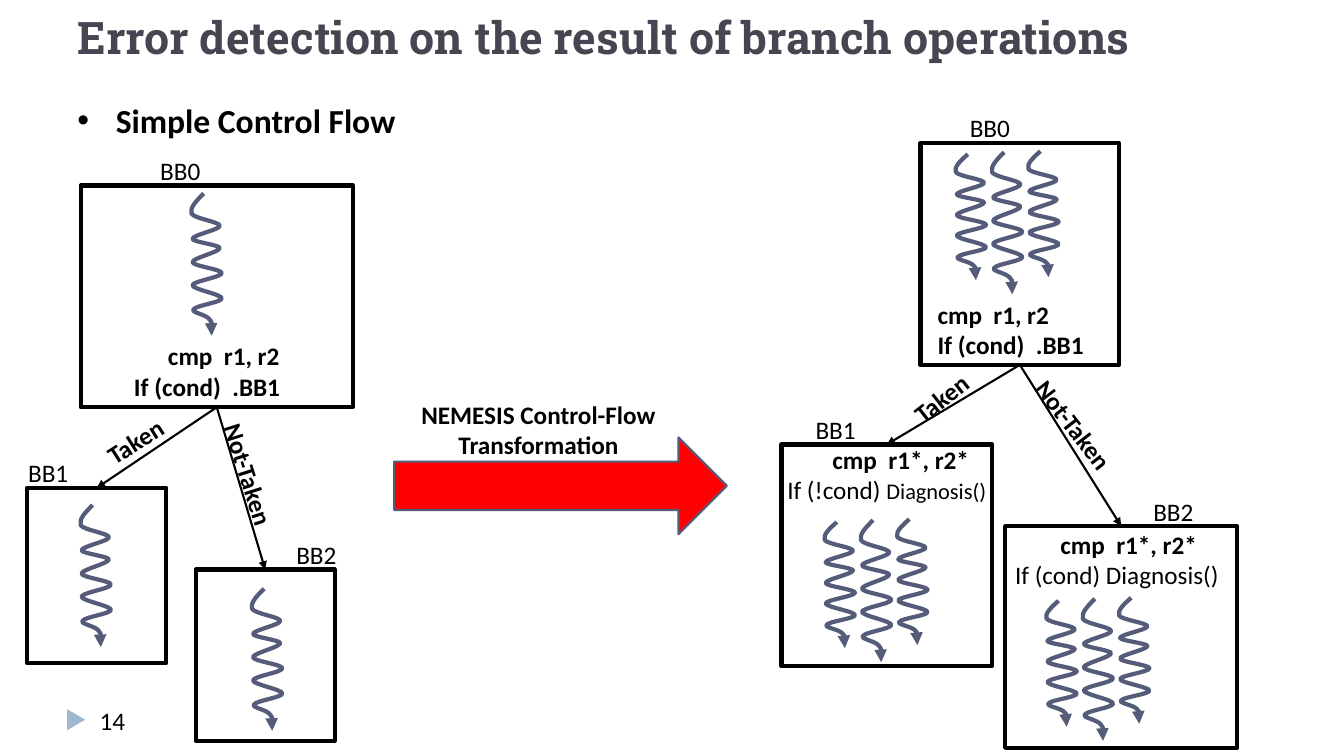
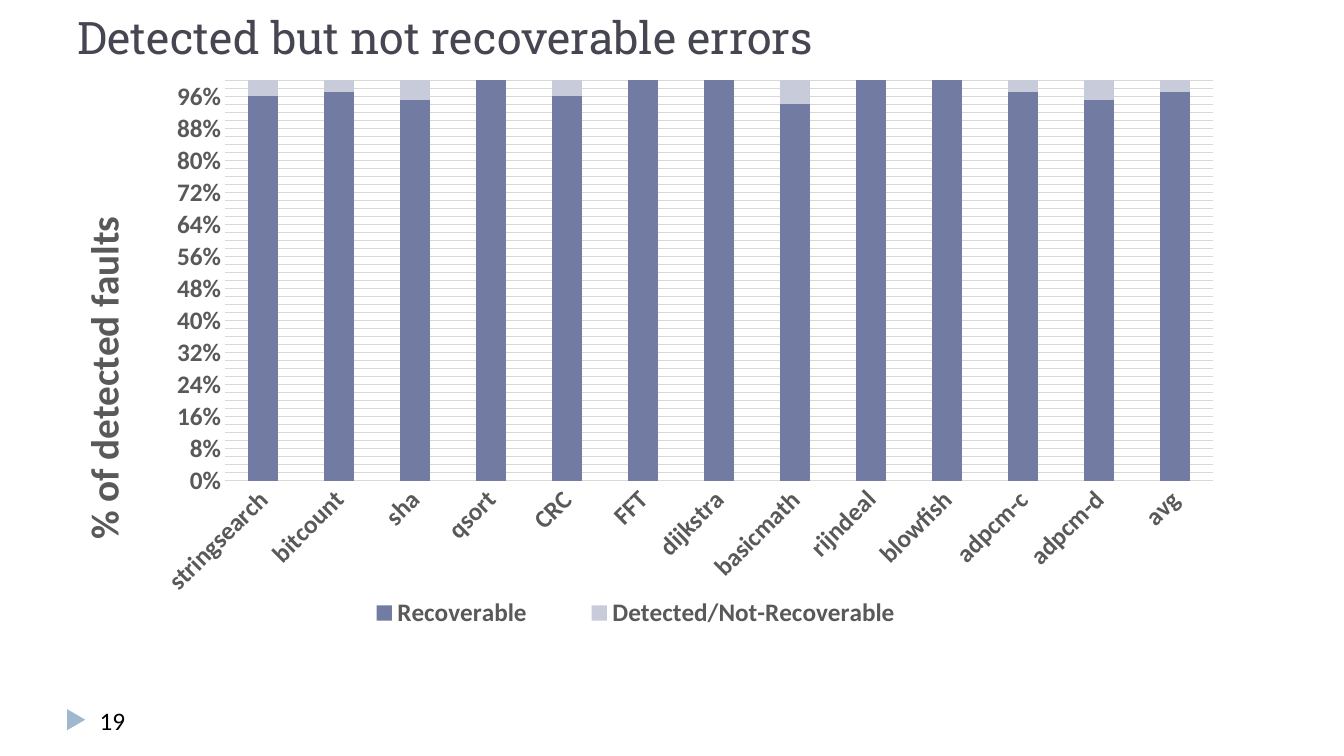
from lxml import etree
from pptx import Presentation
from pptx.chart.data import CategoryChartData
from pptx.dml.color import RGBColor
from pptx.enum.chart import XL_CHART_TYPE, XL_LEGEND_POSITION, XL_TICK_MARK
from pptx.enum.shapes import MSO_CONNECTOR, MSO_SHAPE
from pptx.enum.text import MSO_ANCHOR, PP_ALIGN
from pptx.oxml.ns import qn
from pptx.util import Emu, Pt

STACKED = XL_CHART_TYPE.COLUMN_STACKED_100
LEGEND_BOTTOM = XL_LEGEND_POSITION.BOTTOM
NO_TICK = XL_TICK_MARK.NONE
STRAIGHT = MSO_CONNECTOR.STRAIGHT
RECT, TRIANGLE, ARROW = MSO_SHAPE.RECTANGLE, MSO_SHAPE.ISOSCELES_TRIANGLE, MSO_SHAPE.RIGHT_ARROW
TOP, BOTTOM = MSO_ANCHOR.TOP, MSO_ANCHOR.BOTTOM
LEFT, CENTER = PP_ALIGN.LEFT, PP_ALIGN.CENTER

COLORS = {
    "title": "464653", "text": "000000", "marker": "9FB8CD", "thread": "545C79",
    "arrow": "FF0000", "axis": "595959", "grid": "D9D9D9",
    "recoverable": "727CA3", "lost": "C7CBDA",
}
BODY, HEAD = "Calibri", "Roboto Slab"
EMU_PER_PX = 9144

THREAD_START = (12, 0)
THREAD_HEIGHT = 141
THREAD_CURVES = [
    ((5, 7), (-2, 14), (0, 20)), ((3, 25), (28, 28), (28, 32)),
    ((28, 36), (1, 41), (1, 45)), ((1, 48), (28, 51), (28, 54)),
    ((28, 58), (1, 64), (1, 68)), ((1, 72), (30, 75), (30, 79)),
    ((30, 83), (1, 87), (1, 91)), ((1, 95), (30, 100), (30, 104)),
    ((30, 108), (4, 111), (2, 115)), ((-1, 118), (15, 120), (18, 125)),
    ((21, 129), (20, 141), (20, 141)),
]

BRANCH = ["cmp  r1, r2", "If (cond)  .BB1"]
PLAIN_FLOW = {
    "blocks": [(62, 34, 270, 220), (9, 334, 138, 174), (176, 415, 138, 170)],
    "labels": [131, 0, 266],
    "threads": [(172, 42), (62, 351), (232, 434)],
    "copies": 1,
    "edges": [("Taken", (75, 264, 93, 40), -32.3), ("Not-Taken", (149, 325, 175, 40), 72.3)],
    "code": [((105, 183, 198, 71), CENTER, BRANCH, True, 18)],
}
NEMESIS_FLOW = {
    "blocks": [(142, 35, 197, 220), (4, 334, 209, 220), (226, 415, 230, 220)],
    "labels": [181, 28, 363],
    "threads": [(213, 44), (83, 409), (303, 487)],
    "copies": 3,
    "edges": [("Taken", (121, 264, 93, 40), -38.1), ("Not-Taken", (222, 315, 175, 40), 52.5)],
    "code": [
        ((149, 185, 201, 71), LEFT, BRANCH, True, 18),
        ((0, 329, 245, 71), CENTER, ["cmp  r1*, r2*", "If (!cond) |Diagnosis()"], False, 16),
        ((226, 413, 245, 71), CENTER, ["cmp  r1*, r2*", "If (cond) Diagnosis()"], False, 18),
    ],
}

CATEGORIES = ["stringsearch", "bitcount", "sha", "qsort", "CRC", "FFT", "dijkstra",
              "basicmath", "rijndeal", "blowfish", "adpcm-c", "adpcm-d", "avg"]
RECOVERABLE = [96, 97, 95, 100, 96, 100, 100, 94, 100, 100, 97, 95, 97]


def px(v):
    return Emu(round(v * EMU_PER_PX))


def rgb(name):
    return RGBColor.from_string(COLORS[name])


def shift(box, x, y):
    return (box[0] + x, box[1] + y, *box[2:])


def style(font, size, color="text", bold=False, name=BODY):
    font.name, font.size, font.bold = name, Pt(size), bold
    font.color.rgb = rgb(color)


def text_box(s, box, lines, size=18, bold=False, align=LEFT, color="text", name=BODY, anchor=TOP):
    sp = s.shapes.add_textbox(*map(px, box))
    tf = sp.text_frame
    tf.word_wrap = True
    tf.vertical_anchor = anchor
    tf.text = "\n".join(lines)
    for p in tf.paragraphs:
        p.alignment = align
        for r in p.runs:
            style(r.font, size, color, bold, name)
    return sp


def shape(s, kind, box, fill=None, line=None, width=3):
    sp = s.shapes.add_shape(kind, *map(px, box))
    return paint(sp, fill, line, width)


def paint(sp, fill, line, width):
    sp.shadow.inherit = False
    if fill:
        sp.fill.solid()
        sp.fill.fore_color.rgb = rgb(fill)
    else:
        sp.fill.background()
    if line:
        sp.line.color.rgb = rgb(line)
        sp.line.width = Pt(width)
    else:
        sp.line.fill.background()
    return sp


def arrowhead(sp):
    etree.SubElement(sp.line._get_or_add_ln(), qn("a:tailEnd"), type="triangle")


def connect(s, start, end):
    c = s.shapes.add_connector(STRAIGHT, *map(px, (*start, *end)))
    c.line.color.rgb = rgb("text")
    c.line.width = Pt(1.5)
    arrowhead(c)
    etree.SubElement(c._element.spPr, qn("a:effectLst"))


def thread(s, x, y, height):
    def place(point):
        return px(x + point[0]), px(y + point[1] * height / THREAD_HEIGHT)

    builder = s.shapes.build_freeform(*place(THREAD_START))
    builder.add_line_segments([place(curve[-1]) for curve in THREAD_CURVES], close=False)
    sp = paint(builder.convert_to_shape(), None, "thread", 3)
    arrowhead(sp)
    for segment, curve in zip(sp._element.xpath(".//a:lnTo"), THREAD_CURVES):
        bezier = etree.Element(qn("a:cubicBezTo"))
        for left, top in map(place, curve):
            etree.SubElement(bezier, qn("a:pt"), x=str(left - sp.left), y=str(top - sp.top))
        segment.getparent().replace(segment, bezier)


def thread_set(s, x, y, copies):
    thread(s, x, y, THREAD_HEIGHT)
    if copies == 3:
        thread(s, x - 36, y + 2, 125)
        thread(s, x + 36, y - 1, 125)


def code_text(s, box, align, lines, bold, size):
    sp = text_box(s, box, [line.replace("|", "") for line in lines], bold=True)
    first, second = sp.text_frame.paragraphs
    first.alignment = align
    head, bar, tail = lines[1].partition("|")
    second.runs[0].text = head
    style(second.runs[0].font, 18, bold=bold)
    if bar:
        r = second.add_run()
        r.text = tail
        style(r.font, size, bold=bold)


def control_flow(s, x, y, flow):
    blocks = [shift(b, x, y) for b in flow["blocks"]]
    for i, (block, label_x, at) in enumerate(zip(blocks, flow["labels"], flow["threads"])):
        shape(s, RECT, block, line="text")
        text_box(s, (x + label_x, block[1] - 35, 68, 40), [f"BB{i}"])
        thread_set(s, *shift(at, x, y), flow["copies"])
    left, top, width, height = blocks[0]
    for block in blocks[1:]:
        connect(s, (left + width / 2, top + height), (block[0] + block[2] / 2, block[1]))
    for label, box, angle in flow["edges"]:
        text_box(s, shift(box, x, y), [label], bold=True).rotation = angle
    for box, *content in flow["code"]:
        code_text(s, shift(box, x, y), *content)


def transformation(s, x, y):
    shape(s, ARROW, (x, y + 43, 330, 96), "arrow", "thread", 1.5)
    text_box(s, (x + 2, y, 282, 71), ["NEMESIS Control-Flow Transformation"],
             bold=True, align=CENTER)


def bullet_heading(s, box, text):
    p = text_box(s, box, [text], 24, True).text_frame.paragraphs[0]
    pPr = p._p.get_or_add_pPr()
    pPr.set("marL", str(px(38)))
    pPr.set("indent", str(px(-38)))
    etree.SubElement(pPr, qn("a:buFont"), typeface="Arial")
    etree.SubElement(pPr, qn("a:buChar"), char="•")


def base_slide(prs, title, number, bold=False):
    s = prs.slides.add_slide(prs.slide_layouts[6])
    shape(s, TRIANGLE, (65, 705, 21, 18), "marker").rotation = 90
    text_box(s, (67, 0, 1200, 68), [title], 32, bold, color="title", name=HEAD, anchor=BOTTOM)
    text_box(s, (89, 695, 188, 40), [number])
    return s


def set_layout(parent, index, target=None, **fractions):
    for old in parent.findall(qn("c:layout")):
        parent.remove(old)
    layout = etree.Element(qn("c:layout"))
    manual = etree.SubElement(layout, qn("c:manualLayout"))
    if target:
        etree.SubElement(manual, qn("c:layoutTarget"), val=target)
    for key in ("x", "y"):
        etree.SubElement(manual, qn(f"c:{key}Mode"), val="edge")
    for key, value in fractions.items():
        etree.SubElement(manual, qn(f"c:{key}"), val=str(value))
    parent.insert(index, layout)


def fault_chart(s, box):
    data = CategoryChartData()
    data.categories = CATEGORIES
    data.add_series("Recoverable", RECOVERABLE)
    data.add_series("Detected/Not-Recoverable", [100 - v for v in RECOVERABLE])
    chart = s.shapes.add_chart(STACKED, *map(px, box), data).chart
    style(chart.font, 10)
    chart.has_title = False

    plot = chart.plots[0]
    plot.vary_by_categories = False
    plot.gap_width, plot.overlap = 150, 100
    for series, color in zip(plot.series, ("recoverable", "lost")):
        series.format.fill.solid()
        series.format.fill.fore_color.rgb = rgb(color)

    cat, val = chart.category_axis, chart.value_axis
    for axis in (cat, val):
        axis.major_tick_mark = axis.minor_tick_mark = NO_TICK
        style(axis.tick_labels.font, 18, "axis", True)
    val.minimum_scale, val.maximum_scale, val.major_unit = 0, 1, 0.02
    val.tick_labels.number_format = "0%"
    val.tick_labels.number_format_is_linked = False
    val.format.line.fill.background()
    for line in (cat.format.line, val.major_gridlines.format.line):
        line.color.rgb = rgb("grid")
        line.width = Pt(0.75)

    tf = val.axis_title.text_frame
    tf.text = "% of detected faults"
    style(tf.paragraphs[0].runs[0].font, 28, "axis", True)

    chart.has_legend = True
    chart.legend.position = LEGEND_BOTTOM
    chart.legend.include_in_layout = False
    style(chart.legend.font, 18, "axis", True)

    root = chart._chartSpace
    for query, angle in (("//c:catAx/c:txPr/a:bodyPr", -45), ("//c:valAx/c:title//a:bodyPr", -90)):
        body = root.xpath(query)[0]
        body.set("rot", str(angle * 60000))
        body.set("vert", "horz")
    set_layout(root.xpath("//c:plotArea")[0], 0, "inner", x=0.15, y=0.02, w=0.83, h=0.68)
    set_layout(root.xpath("//c:valAx/c:title")[0], 1, x=0.02, y=0.24)
    set_layout(root.xpath("//c:legend")[0], 1, x=0.23, y=0.88, w=0.53, h=0.09)


def main():
    prs = Presentation()
    prs.slide_width, prs.slide_height = px(1333), px(750)

    s = base_slide(prs, "Error detection on the result of branch operations", "14", True)
    control_flow(s, 18, 150, PLAIN_FLOW)
    control_flow(s, 771, 107, NEMESIS_FLOW)
    transformation(s, 391, 391)
    bullet_heading(s, (67, 94, 383, 50), "Simple Control Flow")

    s = base_slide(prs, "Detected but not recoverable errors", "19")
    fault_chart(s, (46, 68, 1181, 584))

    prs.save("out.pptx")


if __name__ == "__main__":
    main()
